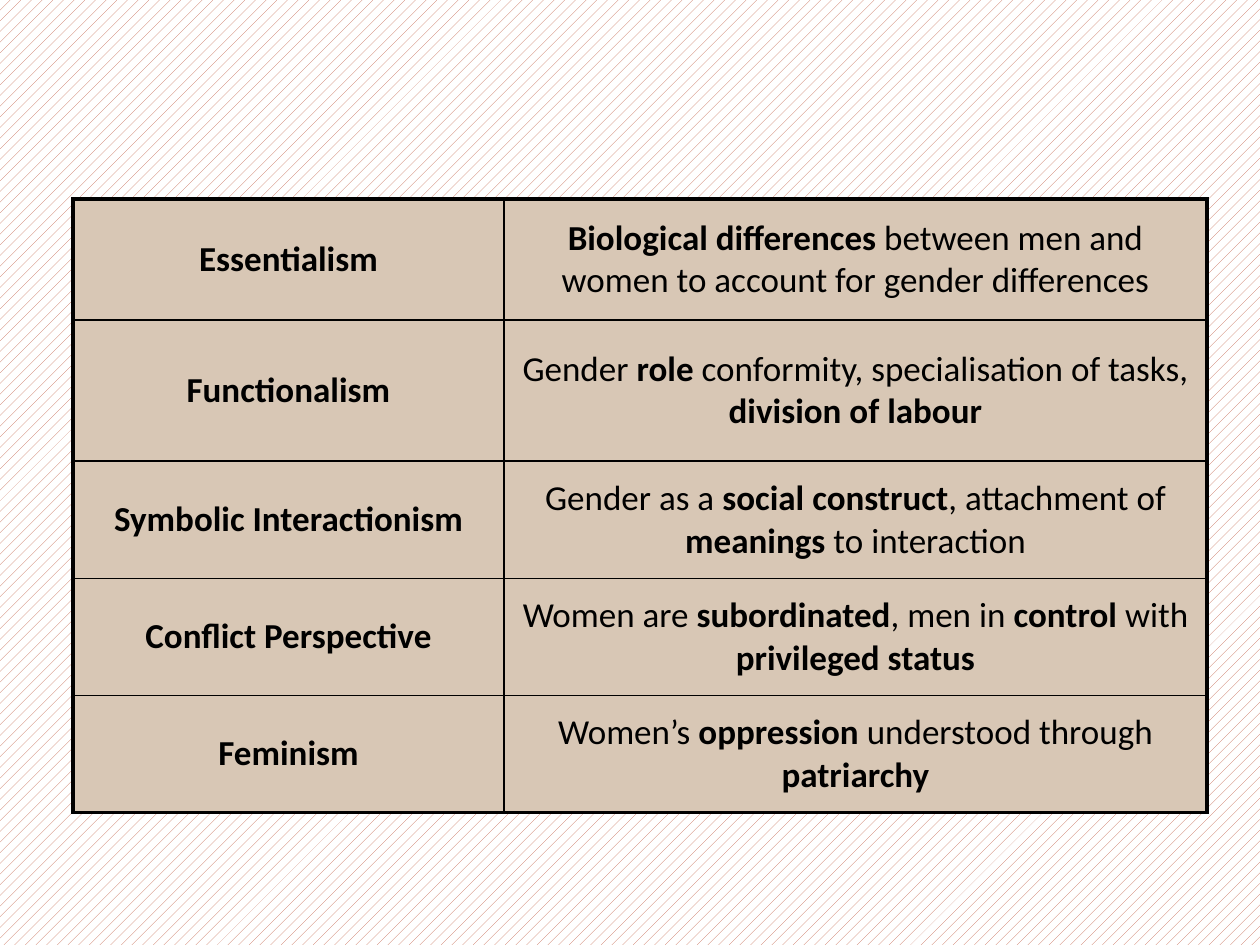
from pptx import Presentation
from pptx.dml.color import RGBColor
from pptx.enum.dml import MSO_PATTERN
from pptx.enum.text import MSO_ANCHOR as Anchor, PP_ALIGN as Align
from pptx.oxml.ns import qn
from pptx.util import Inches, Pt
from lxml.etree import SubElement

INK, SAND, CORAL, WHITE = "000000", "D8C7B5", "C66951", "FFFFFF"
OUTER, INNER = 2.25, 1

COLUMN_WIDTHS = [3.42, 5.58]
ROW_HEIGHTS = [0.96, 1.12, 0.93, 0.93, 0.93]

# Text between asterisks is bold
PERSPECTIVES = [
    ("*Essentialism*",
     "*Biological differences* between men and women to account for gender differences"),
    ("*Functionalism*",
     "Gender *role* conformity, specialisation of tasks, *division of labour*"),
    ("*Symbolic Interactionism*",
     "Gender as a *social construct*, attachment of *meanings* to interaction"),
    ("*Conflict Perspective*",
     "Women are *subordinated*, men in *control *with *privileged status*"),
    ("*Feminism*",
     "Women’s *oppression* understood through *patriarchy*"),
]


def color(hex_value):
    return RGBColor.from_string(hex_value)


class SlideBuilder:
    font_format = {"name": "Calibri", "size": Pt(20)}
    cell_format = {"vertical_anchor": Anchor.MIDDLE}
    table_format = {"first_row": False, "horz_banding": False}

    def __init__(self, slide):
        self.slide = slide

    def apply(self, target, values):
        for key, value in values.items():
            setattr(target, key, value)

    def background(self, pattern, fore, back):
        fill = self.slide.background.fill
        fill.patterned()
        fill.pattern = pattern
        fill.fore_color.rgb = color(fore)
        fill.back_color.rgb = color(back)

    def borders(self, cell, widths):
        properties = cell._tc.get_or_add_tcPr()
        for side, width in widths.items():
            line = SubElement(properties, qn(f"a:ln{side}"), w=str(Pt(width)))
            solid = SubElement(line, qn("a:solidFill"))
            SubElement(solid, qn("a:srgbClr"), val=INK)

    def marked_text(self, paragraph, text):
        paragraph.alignment = Align.CENTER
        for position, part in enumerate(text.split("*")):
            if part:
                run = paragraph.add_run()
                run.text = part
                self.apply(run.font, {**self.font_format, "bold": position % 2 == 1})
                run.font.color.rgb = color(INK)

    def cell(self, cell, text, widths):
        self.apply(cell, self.cell_format)
        self.borders(cell, widths)
        cell.fill.solid()
        cell.fill.fore_color.rgb = color(SAND)
        self.marked_text(cell.text_frame.paragraphs[0], text)

    def table(self, left, top, column_widths, row_heights, content):
        last_row, last_column = len(row_heights) - 1, len(column_widths) - 1
        table = self.slide.shapes.add_table(
            last_row + 1, last_column + 1, Inches(left), Inches(top),
            Inches(sum(column_widths)), Inches(sum(row_heights))).table
        self.apply(table, self.table_format)
        for column, width in zip(table.columns, column_widths):
            column.width = Inches(width)
        for row, height in zip(table.rows, row_heights):
            row.height = Inches(height)
        for r, texts in enumerate(content):
            for c, text in enumerate(texts):
                # Thick frame, thin inner rules
                at_edge = {"L": c == 0, "R": c == last_column,
                           "T": r == 0, "B": r == last_row}
                widths = {side: OUTER if edge else INNER
                          for side, edge in at_edge.items()}
                self.cell(table.cell(r, c), text, widths)


def main():
    deck = Presentation()
    deck.slide_width, deck.slide_height = Inches(10), Inches(7.5)
    builder = SlideBuilder(deck.slides.add_slide(deck.slide_layouts[6]))

    # Patterned background
    builder.background(MSO_PATTERN.PERCENT_20, CORAL, WHITE)

    # Perspectives on gender
    builder.table(0.58, 1.58, COLUMN_WIDTHS, ROW_HEIGHTS, PERSPECTIVES)

    deck.save("out.pptx")


if __name__ == "__main__":
    main()
